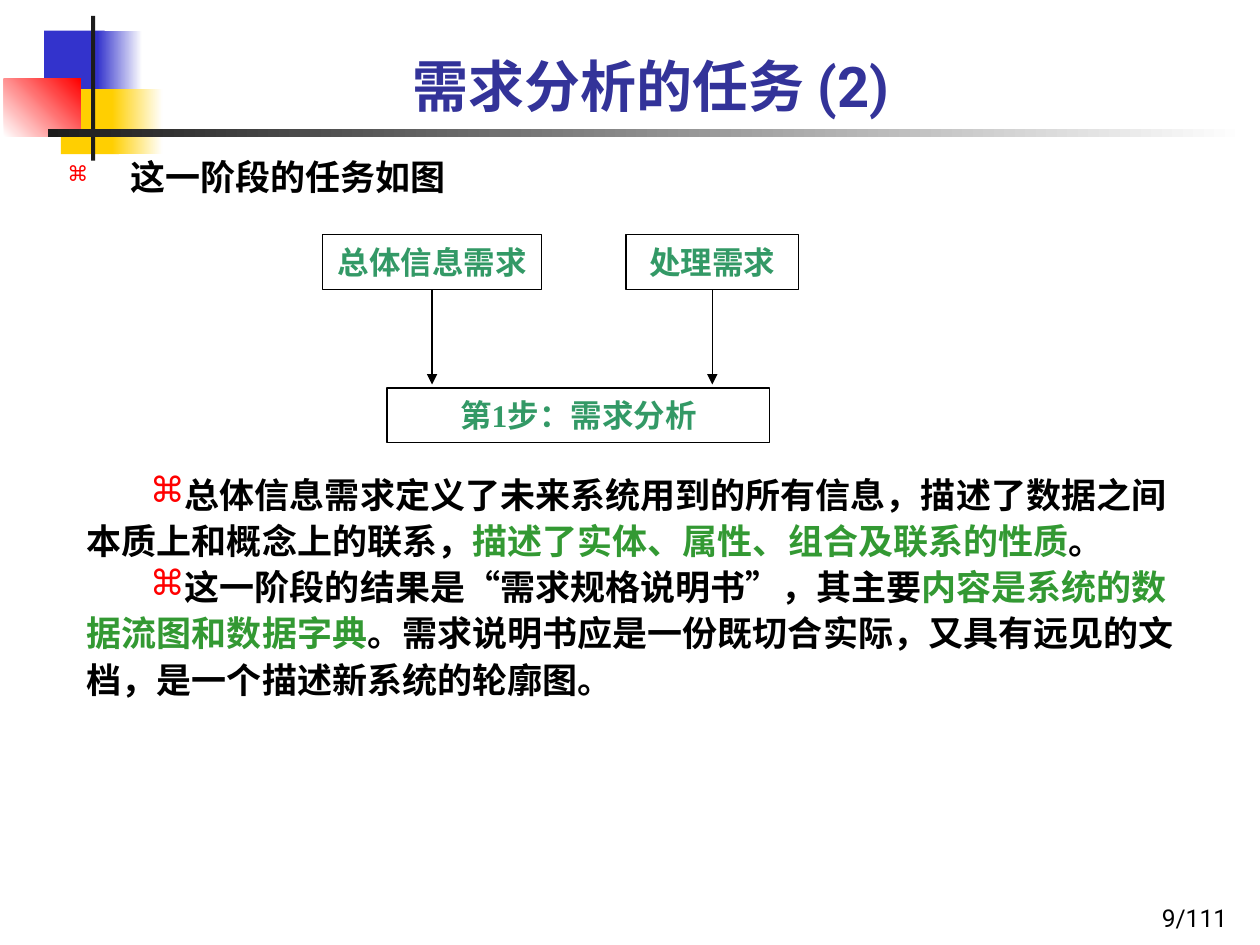
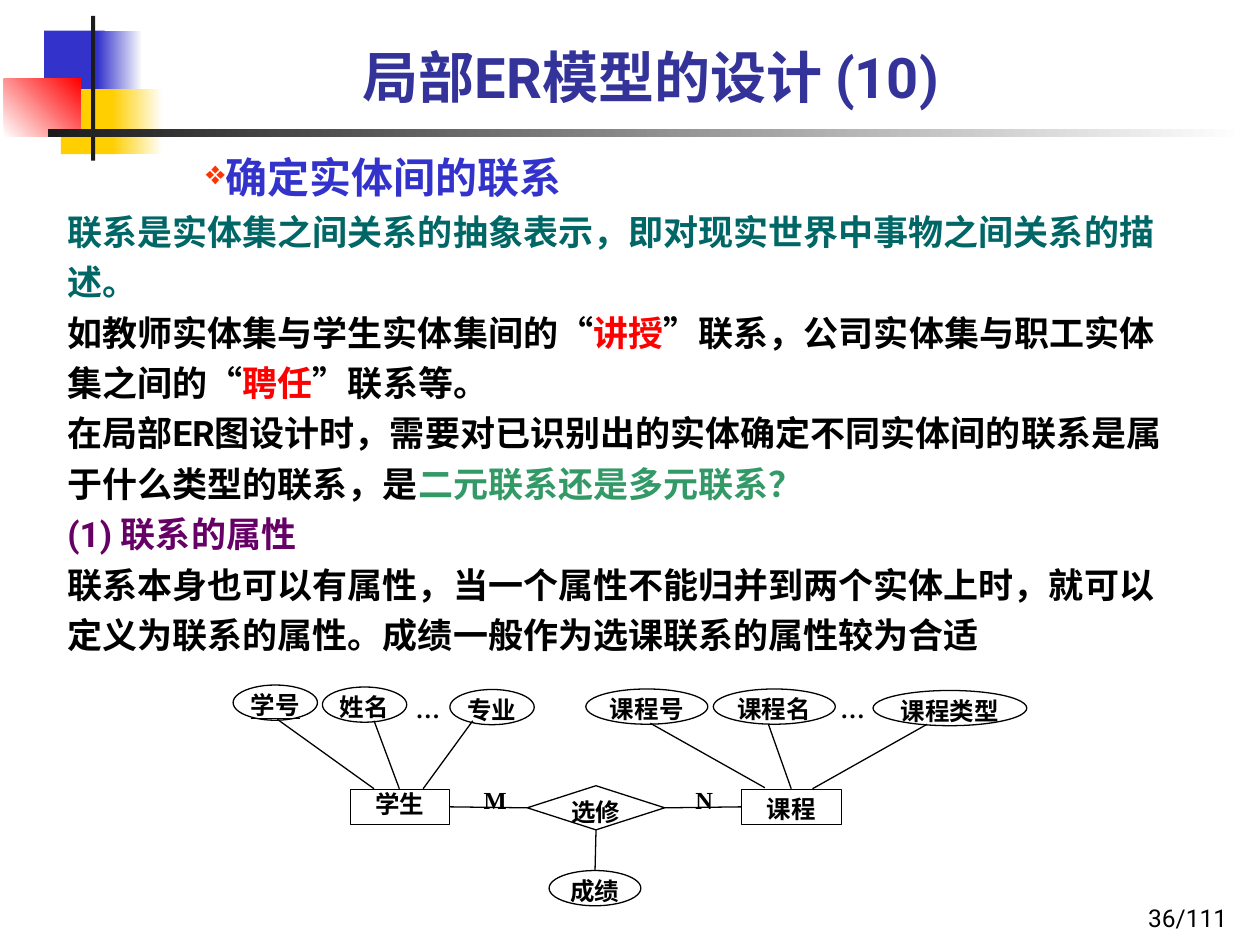
from typing import NamedTuple, Optional

from lxml.etree import SubElement
from pptx import Presentation
from pptx.dml.color import RGBColor
from pptx.enum.shapes import MSO_CONNECTOR as Cxn, MSO_SHAPE as Geo
from pptx.enum.text import MSO_ANCHOR as Anchor, PP_ALIGN as Align
from pptx.oxml.ns import qn
from pptx.util import Cm, Pt

SANS, SERIF = "Roboto", "Times New Roman"
BLACK, WHITE, RED = "000000", "FFFFFF", "FF0000"
BLUE, YELLOW, DARK = "3333CC", "FFCF01", "1C1C1C"
TITLE_BLUE, TEAL, SEA, GREEN, PURPLE = "333399", "006666", "339966", "339933", "660066"
TOP, LEFT, BOTTOM, RIGHT = range(4)
INSETS = (0.25, 0.13, 0.25, 0.13)
NO_INSETS = (0, 0, 0, 0)


class Band(NamedTuple):
    x: float
    y: float
    w: float
    h: float
    start: str
    end: Optional[str] = None
    angle: int = 0


class Run(NamedTuple):
    text: str
    color: str = BLACK
    font: str = SANS


class Bullet(NamedTuple):
    char: str
    color: str
    indent: float
    margin: float = 0
    percent: int = 100


class Para(NamedTuple):
    runs: list[Run]
    size: int = 20
    bullet: Optional[Bullet] = None


class Node(NamedTuple):
    text: str
    x: float
    y: float
    w: float
    h: float = 0.71
    geo: Geo = Geo.OVAL
    fill: Optional[str] = None
    underline: bool = False
    top_inset: float = 0


BANDS = [
    Band(0.89, 0.62, 1.22, 1.32, BLUE),
    Band(1.96, 0.62, 0.91, 1.32, BLUE, WHITE),
    Band(1.23, 1.8, 1.17, 1.31, YELLOW),
    Band(2.26, 1.8, 1.02, 1.31, YELLOW, WHITE),
    Band(0.08, 1.59, 1.55, 1.17, WHITE, RED, 45),
    Band(1.84, 0.32, 0.08, 2.92, DARK),
    Band(0.96, 2.61, 24.16, 0.15, DARK, WHITE),
]


def rgb(color: str) -> RGBColor:
    return RGBColor.from_string(color)


def add_bullet(p, bullet: Bullet) -> None:
    pPr = p._p.get_or_add_pPr()
    pPr.set("marL", str(Cm(bullet.margin)))
    pPr.set("indent", str(Cm(bullet.indent)))
    clr = SubElement(pPr, qn("a:buClr"))
    SubElement(clr, qn("a:srgbClr")).set("val", bullet.color)
    SubElement(pPr, qn("a:buSzPct")).set("val", str(bullet.percent * 1000))
    SubElement(pPr, qn("a:buChar")).set("char", bullet.char)


def write(tf, content, *, size=14, color=BLACK, font=SANS, bold=True, underline=False,
          align=Align.LEFT, anchor=Anchor.TOP, spacing=1.0, insets=INSETS) -> None:
    if isinstance(content, str):
        content = [Para([Run(content, color, font)], size)]
    tf.word_wrap = True
    tf.vertical_anchor = anchor
    tf.margin_left, tf.margin_top, tf.margin_right, tf.margin_bottom = map(Cm, insets)
    for i, para in enumerate(content):
        p = tf.add_paragraph() if i else tf.paragraphs[0]
        if para.bullet:
            add_bullet(p, para.bullet)
        p.alignment = align
        p.line_spacing = spacing
        for run in para.runs:
            r = p.add_run()
            r.text = run.text
            r.font.name = run.font
            r.font.size = Pt(para.size)
            r.font.bold = bold
            r.font.underline = underline or None
            r.font.color.rgb = rgb(run.color)


def add_text(s, content, x: float, y: float, w: float, h: float, **fmt) -> None:
    write(s.shapes.add_textbox(Cm(x), Cm(y), Cm(w), Cm(h)).text_frame, content, **fmt)


def add_band(s, band: Band) -> None:
    sp = s.shapes.add_shape(Geo.RECTANGLE, Cm(band.x), Cm(band.y), Cm(band.w), Cm(band.h))
    sp.shadow.inherit = False
    sp.line.fill.background()
    if band.end:
        sp.fill.gradient()
        sp.fill.gradient_angle = band.angle
        for stop, color in zip(sp.fill.gradient_stops, (band.start, band.end)):
            stop.color.rgb = rgb(color)
    else:
        sp.fill.solid()
        sp.fill.fore_color.rgb = rgb(band.start)


def add_node(s, node: Node, **fmt):
    sp = s.shapes.add_shape(node.geo, Cm(node.x), Cm(node.y), Cm(node.w), Cm(node.h))
    sp.shadow.inherit = False
    if node.fill:
        sp.fill.solid()
        sp.fill.fore_color.rgb = rgb(node.fill)
    else:
        sp.fill.background()
    sp.line.color.rgb = rgb(BLACK)
    sp.line.width = Pt(0.75)
    write(sp.text_frame, node.text, font=SERIF, align=Align.CENTER, underline=node.underline,
          insets=(0, node.top_inset, 0, 0), **fmt)
    return sp


def add_line(s, x1: float = 0, y1: float = 0, x2: float = 0, y2: float = 0, *,
             begin=None, end=None, arrow: bool = False) -> None:
    line = s.shapes.add_connector(Cxn.STRAIGHT, Cm(x1), Cm(y1), Cm(x2), Cm(y2))
    if begin:
        line.begin_connect(*begin)
    if end:
        line.end_connect(*end)
    line.line.color.rgb = rgb(BLACK)
    line.line.width = Pt(0.75)
    if arrow:
        SubElement(line.line._get_or_add_ln(), qn("a:tailEnd")).set("type", "triangle")
    SubElement(line._element.spPr, qn("a:effectLst"))


def add_base(prs, title: str, page: str, title_y: float):
    s = prs.slides.add_slide(prs.slide_layouts[6])
    for band in BANDS:
        add_band(s, band)
    add_text(s, page, 19.71, 17.65, 5.28, 1.27, bold=False, align=Align.RIGHT,
             anchor=Anchor.BOTTOM)
    add_text(s, title, 2.3, title_y, 21.64, 2.21, size=32, color=TITLE_BLUE,
             align=Align.CENTER, anchor=Anchor.BOTTOM)
    return s


def quoted(text: str, color: str = BLACK) -> list[Run]:
    return [Run("“", font=SERIF), Run(text, color), Run("”", font=SERIF)]


def build_tasks(prs) -> None:
    s = add_base(prs, "需求分析的任务 (2)", "9/111", 0.32)
    heading = Para([Run("这一阶段的任务如图")], bullet=Bullet("⌘", RED, -1.27, 1.27, 60))
    add_text(s, [heading], 1.11, 2.92, 23.01, 1.19, spacing=1.1)

    step_fmt = dict(size=18, color=SEA, anchor=Anchor.MIDDLE)
    add_node(s, Node("第1步：需求分析", 7.8, 7.82, 7.72, 1.1, Geo.RECTANGLE), **step_fmt)
    for text, x, w in [("总体信息需求", 6.5, 4.42), ("处理需求", 12.62, 3.48)]:
        need = add_node(s, Node(text, x, 4.73, w, 1.11, Geo.RECTANGLE), **step_fmt)
        add_line(s, x2=x + w / 2, y2=7.75, begin=(need, BOTTOM), arrow=True)

    bullet = Bullet("⌘", RED, 1.27, 0.61)
    details = [
        Para([
            Run("总体信息需求定义了未来系统用到的所有信息，描述了数据之间本质上和概念上的联系，"),
            Run("描述了实体、属性、组合及联系的性质", GREEN),
            Run("。"),
        ], bullet=bullet),
        Para([
            Run("这一阶段的结果是"),
            *quoted("需求规格说明书"),
            Run("，其主要"),
            Run("内容是系统的数据流图和数据字典", GREEN),
            Run("。需求说明书应是一份既切合实际，又具有远见的文档，是一个描述新系统的轮廓图。"),
        ], bullet=bullet),
    ]
    add_text(s, details, 0.89, 9.33, 23.39, 8.61, spacing=1.1)


def build_er_diagram(s) -> None:
    attributes = [
        Node("学号", 4.7, 13.81, 1.7, underline=True),
        Node("姓名", 6.5, 13.85, 1.7),
        Node("专业", 9.07, 13.9, 1.7),
        Node("课程号", 11.81, 13.89, 2.46),
        Node("课程名", 14.38, 13.89, 2.46),
        Node("课程类型", 17.6, 13.92, 3.1),
    ]
    for node in attributes:
        add_node(s, node)

    student = add_node(s, Node("学生", 7.06, 15.91, 2.01, geo=Geo.RECTANGLE, fill=WHITE))
    course = add_node(s, Node("课程", 14.95, 15.91, 2.01, geo=Geo.RECTANGLE, fill=WHITE,
                              top_inset=0.1))
    elect = add_node(s, Node("选修", 10.63, 15.84, 2.77, 0.89, Geo.DIAMOND, WHITE))
    grade = add_node(s, Node("成绩", 11.07, 17.55, 1.85, fill=WHITE))

    attribute_lines = [
        (5.59, 14.5, 7.54, 15.9),
        (7.54, 14.53, 8.05, 15.9),
        (9.53, 14.53, 8.53, 15.9),
        (13.11, 14.58, 15.42, 15.88),
        (15.49, 14.6, 15.95, 15.9),
        (18.69, 14.6, 16.38, 15.9),
    ]
    for ends in attribute_lines:
        add_line(s, *ends)
    add_line(s, begin=(student, RIGHT), end=(elect, LEFT))
    add_line(s, begin=(elect, RIGHT), end=(course, LEFT))
    add_line(s, begin=(elect, BOTTOM), end=(grade, TOP))

    labels = [("…", 8.38, 14, 0.99), ("…", 16.94, 14, 0.99),
              ("M", 9.75, 15.82, 0.48), ("N", 14.02, 15.82, 0.48)]
    for text, x, y, w in labels:
        add_text(s, text, x, y, w, 0.41, font=SERIF, align=Align.JUSTIFY, insets=NO_INSETS)


def build_er_design(prs) -> None:
    s = add_base(prs, "局部ER模型的设计 (10)", "36/111", 0.13)
    body = [
        Para([Run("确定实体间的联系", BLUE)], 24, Bullet("❖", "FF3300", 2.79, percent=80)),
        Para([Run("联系是实体集之间关系的抽象表示，即对现实世界中事物之间关系的描述。", TEAL)]),
        Para([
            Run("如教师实体集与学生实体集间的"),
            *quoted("讲授", RED),
            Run("联系，公司实体集与职工实体集之间的"),
            *quoted("聘任", RED),
            Run("联系等。"),
        ]),
        Para([
            Run("在局部ER图设计时，需要对已识别出的实体确定不同实体间的联系是属于什么类型的联系，是"),
            Run("二元联系还是多元联系？", SEA),
        ]),
        Para([Run("(1) 联系的属性", PURPLE)]),
        Para([Run("联系本身也可以有属性，当一个属性不能归并到两个实体上时，就可以定义为联系的属性。"
                  "成绩一般作为选课联系的属性较为合适")]),
    ]
    add_text(s, body, 1.11, 2.72, 23.01, 15.39, spacing=1.2)
    build_er_diagram(s)


def main() -> None:
    prs = Presentation()
    prs.slide_width, prs.slide_height = Cm(25.4), Cm(19.05)
    build_tasks(prs)
    build_er_design(prs)
    prs.save("out.pptx")


if __name__ == "__main__":
    main()
